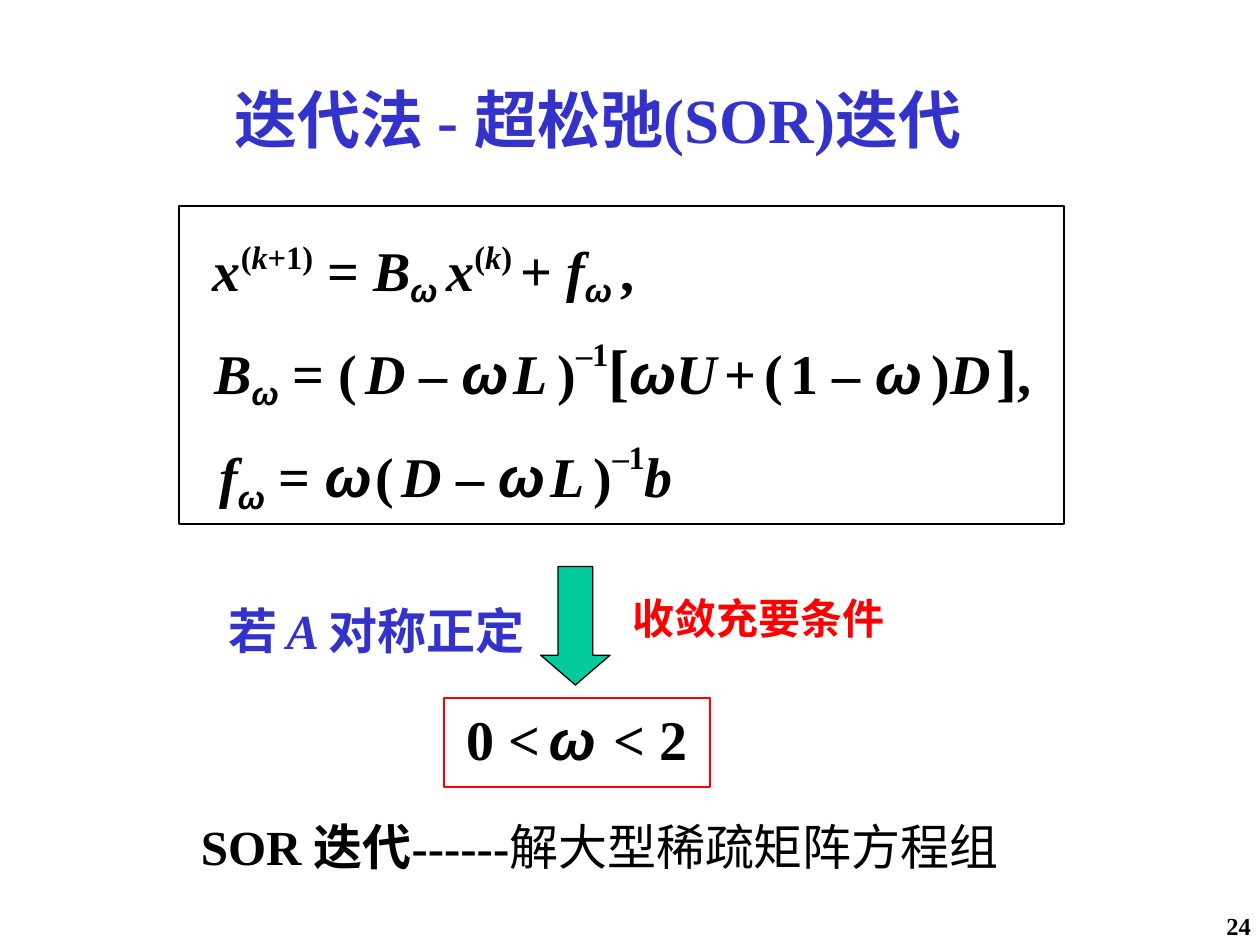
from pptx import Presentation, util as u
from pptx.dml.color import RGBColor
from pptx.enum import shapes, text

BLACK = RGBColor(0x00, 0x00, 0x00)
BLUE = RGBColor(0x33, 0x33, 0xCC)
RED = RGBColor(0xFF, 0x00, 0x00)
GREEN = RGBColor(0x00, 0xCC, 0x99)
SERIF, SANS = "Times New Roman", "Arial"

# Style: font, bold, italic, baseline shift in percent
STYLES = {
    "roman": (SERIF, True, False, 0),
    "plain": (SERIF, False, False, 0),
    "var": (SERIF, True, True, 0),
    "omega": (SANS, True, True, 0),
    "omega_sub": (SANS, True, True, -20),
    "sup": (SERIF, True, False, 40),
    "sup_var": (SERIF, True, True, 40),
    "inverse": (SERIF, True, False, 50),
    "gap": (SERIF, True, True, -25),
}
# Spaces narrower than the text around them
THIN = (" ", "roman", 18)
MEDIUM = (" ", "roman", 22)

ITERATION = [
    ("x", "var"), ("(", "sup"), ("k", "sup_var"), ("+1)", "sup"),
    (" = ", "roman"), ("B", "var"), ("ω ", "omega_sub"), ("x", "var"),
    ("(", "sup"), ("k", "sup_var"), (") ", "sup"), ("+ ", "roman"),
    ("f", "var"), ("ω ", "omega_sub"), (",", "roman"),
]
# ( D – ωL )–1, shared by both definitions
INVERSE = [
    ("(", "roman"), THIN, ("D", "var"), (" – ", "roman"), ("ω", "omega"),
    (" ", "gap", 20), ("L", "var"), MEDIUM, (")", "roman"),
    ("–1", "inverse"),
]
MATRIX = [
    ("B", "var"), ("ω", "omega_sub"), (" = ", "roman"), *INVERSE,
    ("[", "roman", 36), ("ω", "omega"), ("U", "var"), THIN, ("+", "roman"),
    THIN, ("(", "roman"), THIN, ("1 – ", "roman"), ("ω", "omega"), MEDIUM,
    (")", "roman"), ("D", "var"), (" ", "gap", 24),
    ("]", "roman", 36), (",", "roman"),
]
VECTOR = [
    ("f", "var"), ("ω", "omega_sub"), (" = ", "roman"), ("ω", "omega"),
    (" ", "gap", 14), *INVERSE, ("b", "var"),
]
OMEGA_RANGE = [("0 <", "roman"), THIN, ("ω", "omega"), (" ", "gap", 14),
               (" < 2", "roman")]


def place(box):
    return [u.Cm(length) for length in box]


def write(frame, runs, size, color, align=text.PP_ALIGN.LEFT,
          margins=(0.25, 0.13), spacing=1.0):
    frame.word_wrap = True
    frame.auto_size = text.MSO_AUTO_SIZE.NONE
    frame.vertical_anchor = text.MSO_ANCHOR.TOP
    frame.margin_left = frame.margin_right = u.Cm(margins[0])
    frame.margin_top = frame.margin_bottom = u.Cm(margins[1])
    paragraph = frame.paragraphs[0]
    paragraph.alignment = align
    paragraph.line_spacing = spacing
    for words, style, *own_size in runs:
        name, bold, italic, shift = STYLES[style]
        run = paragraph.add_run()
        run.text = words
        font = run.font
        font.name, font.bold, font.italic = name, bold, italic
        font.size = u.Pt(own_size[0] if own_size else size)
        font.color.rgb = color
        if shift:
            run._r.get_or_add_rPr().set("baseline", str(shift * 1000))


def add_text(parent, box, runs, size, color=BLACK, **layout):
    write(parent.add_textbox(*place(box)).text_frame, runs, size, color,
          **layout)


def add_block(parent, preset, box, line, width, fill=None):
    block = parent.add_shape(preset, *place(box))
    block.shadow.inherit = False
    if fill is None:
        block.fill.background()
    else:
        block.fill.solid()
        block.fill.fore_color.rgb = fill
    block.line.color.rgb = line
    block.line.width = u.Pt(width)
    return block


def add_title(slide, box, runs):
    title = slide.shapes.title
    title.left, title.top, title.width, title.height = place(box)
    write(title.text_frame, runs, 36, BLUE)


def main():
    prs = Presentation()
    prs.slide_width, prs.slide_height = u.Cm(25.4), u.Cm(19.05)
    slide = prs.slides.add_slide(prs.slide_layouts[5])
    parts = slide.shapes

    add_title(slide, (4.48, 1.5, 18.21, 1.78),
              [("迭代法 - 超松弛(SOR)迭代", "roman")])

    # Convergence condition
    arrow = add_block(parts, shapes.MSO_SHAPE.DOWN_ARROW,
                      (10.9, 11.42, 1.4, 2.39), BLACK, 0.75, GREEN)
    arrow.adjustments[0], arrow.adjustments[1] = 0.5, 0.43
    add_text(parts, (12.5, 11.81, 5.79, 1.27),
             [("收敛充要条件", "roman")], 24, RED)
    add_text(parts, (4.36, 11.79, 6.58, 2.79),
             [("若", "roman"), MEDIUM, ("A ", "var"), ("对称正定", "roman")],
             28, BLUE, spacing=1.15)

    # Use of the method
    add_text(parts, (3.8, 16.33, 17.6, 1.45),
             [("SOR 迭代------", "roman"), ("解大型稀疏矩阵方程组", "plain")], 28)

    # Framed SOR formulas
    formulas = parts.add_group_shape().shapes
    add_block(formulas, shapes.MSO_SHAPE.RECTANGLE,
              (3.61, 4.15, 17.84, 6.42), BLACK, 1)
    add_text(formulas, (4.04, 4.62, 10.01, 1.8), ITERATION, 32)
    for box, definition in [((4.17, 6.55, 17.27, 1.96), MATRIX),
                            ((4.27, 8.69, 10.06, 1.88), VECTOR)]:
        add_text(formulas, box, definition, 32, margins=(0.15, 0.13))

    # Range of the relaxation factor
    omega_box = add_block(parts, shapes.MSO_SHAPE.RECTANGLE,
                          (8.95, 14.07, 5.37, 1.8), RED, 1)
    write(omega_box.text_frame, OMEGA_RANGE, 32, BLACK,
          align=text.PP_ALIGN.CENTER)

    # Page number
    add_text(parts, (24.05, 18.34, 1.22, 0.66), [("24", "roman")], 14,
             align=text.PP_ALIGN.RIGHT, margins=(0.05, 0.03))

    prs.save("out.pptx")


if __name__ == "__main__":
    main()
